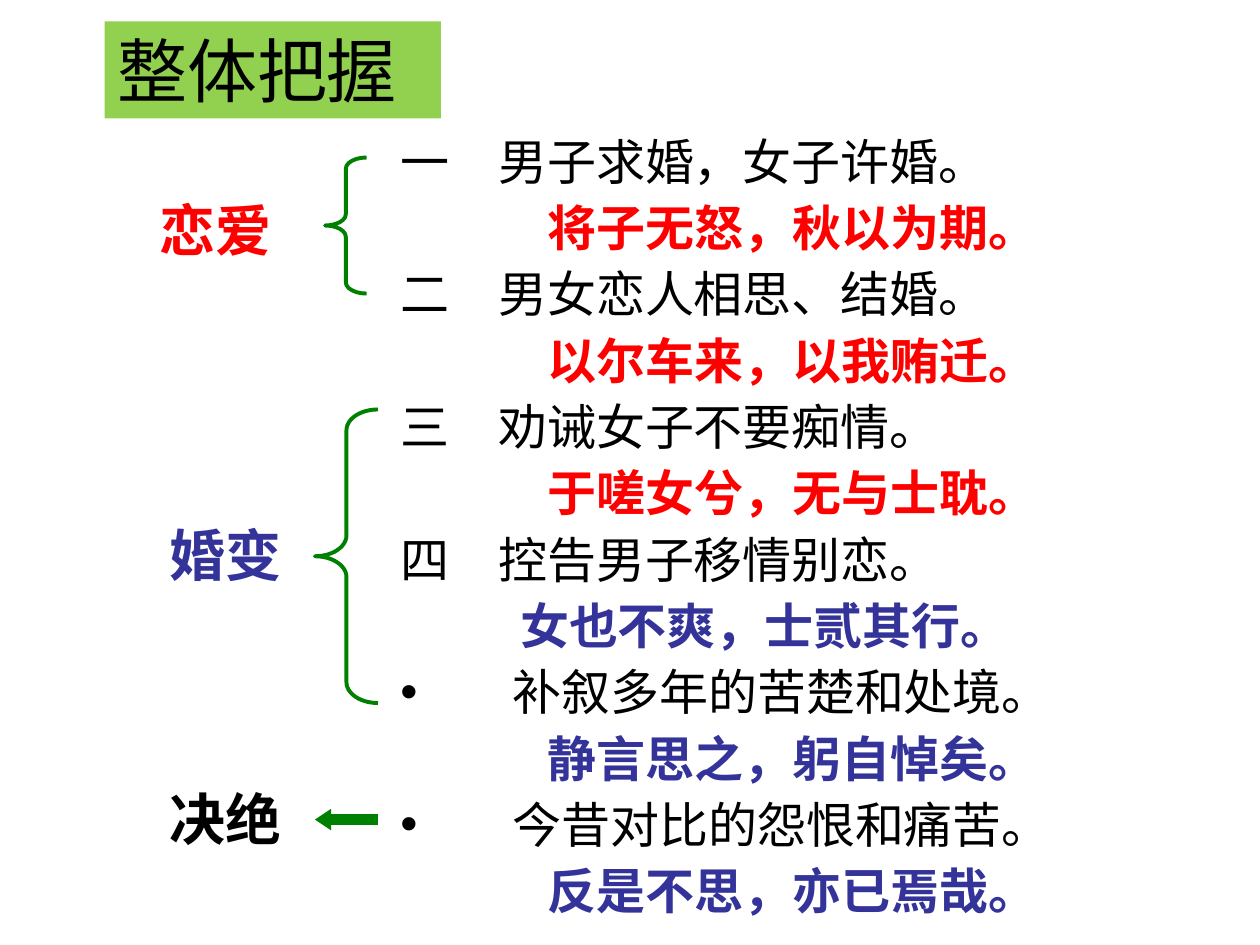
"""Build the slide that outlines the six stanzas and groups them in three stages."""
from dataclasses import dataclass

from lxml.etree import SubElement
from pptx import Presentation
from pptx.dml.color import RGBColor as Rgb
from pptx.enum.shapes import MSO_SHAPE as Kind
from pptx.enum.text import MSO_ANCHOR as Anchor, PP_ALIGN as Align
from pptx.oxml.ns import qn
from pptx.util import Inches, Pt

FONT = "Noto Sans CJK SC"
INK = {"black": "000000", "red": "FF0000", "blue": "333399",
       "green": "008000", "lime": "92D050"}


@dataclass
class Verse:
    head: str
    quote: str
    ink: str
    left: float = 1.17
    dot: bool = False


@dataclass
class Label:
    text: str
    ink: str
    left: float
    top: float
    width: float


@dataclass
class Brace:
    left: float
    top: float
    width: float
    height: float
    curve: float


VERSES = [
    Verse("一　男子求婚，女子许婚。", "将子无怒，秋以为期。", "red"),
    Verse("二　男女恋人相思、结婚。", "以尔车来，以我贿迁。", "red"),
    Verse("三　劝诫女子不要痴情。", "于嗟女兮，无与士耽。", "red"),
    Verse("四　控告男子移情别恋。", "女也不爽，士贰其行。", "blue", left=0.95),
    Verse("补叙多年的苦楚和处境。", "静言思之，躬自悼矣。", "blue", dot=True),
    Verse("今昔对比的怨恨和痛苦。", "反是不思，亦已焉哉。", "blue", dot=True),
]
LABELS = [
    Label("恋爱", "red", 1.17, 1.5, 1.83),
    Label("婚变", "blue", 1.25, 4.08, 1.45),
    Label("决绝", "black", 1.25, 6.17, 1.37),
]
BRACES = [Brace(2.58, 1.25, 0.33, 1.08, 0.27),
          Brace(2.5, 3.25, 0.5, 2.33, 0.33)]


def tint(name: str) -> Rgb:
    """Return a palette colour."""
    return Rgb.from_string(INK[name])


def style(para, size: int, ink: str, bold: bool = False) -> None:
    """Format every run of a paragraph."""
    for run in para.runs:
        font = run.font
        font.size, font.bold, font.name = Pt(size), bold, FONT
        font.color.rgb = tint(ink)
        SubElement(font._element, qn("a:ea"), typeface=FONT)


def indent(para, left: float, first: float = 0, dot: bool = False) -> None:
    """Set the indents of a paragraph and, if asked, its bullet."""
    props = para._p.get_or_add_pPr()
    props.set("marL", str(Inches(left)))
    props.set("indent", str(Inches(first)))
    if dot:
        shade = SubElement(props, qn("a:buClr"))
        SubElement(shade, qn("a:srgbClr"), val=INK["black"])
        SubElement(props, qn("a:buFont"), typeface="Arial")
        SubElement(props, qn("a:buChar"), char="•")


def add_title(slide) -> None:
    """Place the title on its green panel."""
    title = slide.shapes.title
    title.left, title.top = Inches(0.83), Inches(0.17)
    title.width, title.height = Inches(2.67), Inches(0.77)
    title.fill.solid()
    title.fill.fore_color.rgb = tint("lime")
    frame = title.text_frame
    frame.text = "整体把握"
    frame.vertical_anchor = Anchor.MIDDLE
    frame.paragraphs[0].alignment = Align.LEFT
    style(frame.paragraphs[0], 40, "black")


def add_verses(slide) -> None:
    """Write each summary with its quoted line below."""
    box = slide.shapes.add_textbox(Inches(3.08), Inches(1), Inches(6.33), Inches(6.33))
    frame = box.text_frame
    frame.word_wrap = True
    frame.margin_top = Inches(0.08)
    lines = [(verse, quote) for verse in VERSES for quote in (False, True)]
    for row, (verse, quote) in enumerate(lines):
        para = frame.add_paragraph() if row else frame.paragraphs[0]
        para.text = verse.quote if quote else verse.head
        para.line_spacing = Pt(30.9)
        para.space_before = Pt(7 if row else 0)
        if quote:
            indent(para, verse.left)
        else:
            indent(para, 0.89, -0.89, verse.dot)
        style(para, 28, verse.ink if quote else "black", quote)


def add_label(slide, label: Label) -> None:
    """Write the name of one stage."""
    box = slide.shapes.add_textbox(Inches(label.left), Inches(label.top),
                                   Inches(label.width), Inches(0.64))
    frame = box.text_frame
    frame.word_wrap = True
    frame.vertical_anchor = Anchor.MIDDLE
    frame.text = label.text
    style(frame.paragraphs[0], 32, label.ink, True)


def add_brace(slide, brace: Brace) -> None:
    """Draw a brace around the stanzas of a stage."""
    shape = slide.shapes.add_shape(Kind.LEFT_BRACE, Inches(brace.left), Inches(brace.top),
                                   Inches(brace.width), Inches(brace.height))
    shape.adjustments[0] = brace.curve
    shape.shadow.inherit = False
    shape.fill.background()
    shape.line.color.rgb = tint("green")
    shape.line.width = Pt(2.25)


def add_arrow(slide) -> None:
    """Point from the last stanza to its stage."""
    arrow = slide.shapes.add_shape(Kind.LEFT_ARROW, Inches(2.5), Inches(6.42),
                                   Inches(0.5), Inches(0.17))
    arrow.adjustments[1] = 0.75
    arrow.shadow.inherit = False
    arrow.fill.solid()
    arrow.fill.fore_color.rgb = tint("green")
    arrow.line.fill.background()


def main() -> None:
    """Build and save the slide."""
    deck = Presentation()
    deck.slide_width, deck.slide_height = Inches(10), Inches(7.5)
    slide = deck.slides.add_slide(deck.slide_layouts[5])
    add_title(slide)
    add_verses(slide)
    for label in LABELS:
        add_label(slide, label)
    for brace in BRACES:
        add_brace(slide, brace)
    add_arrow(slide)
    deck.save("out.pptx")


if __name__ == "__main__":
    main()
